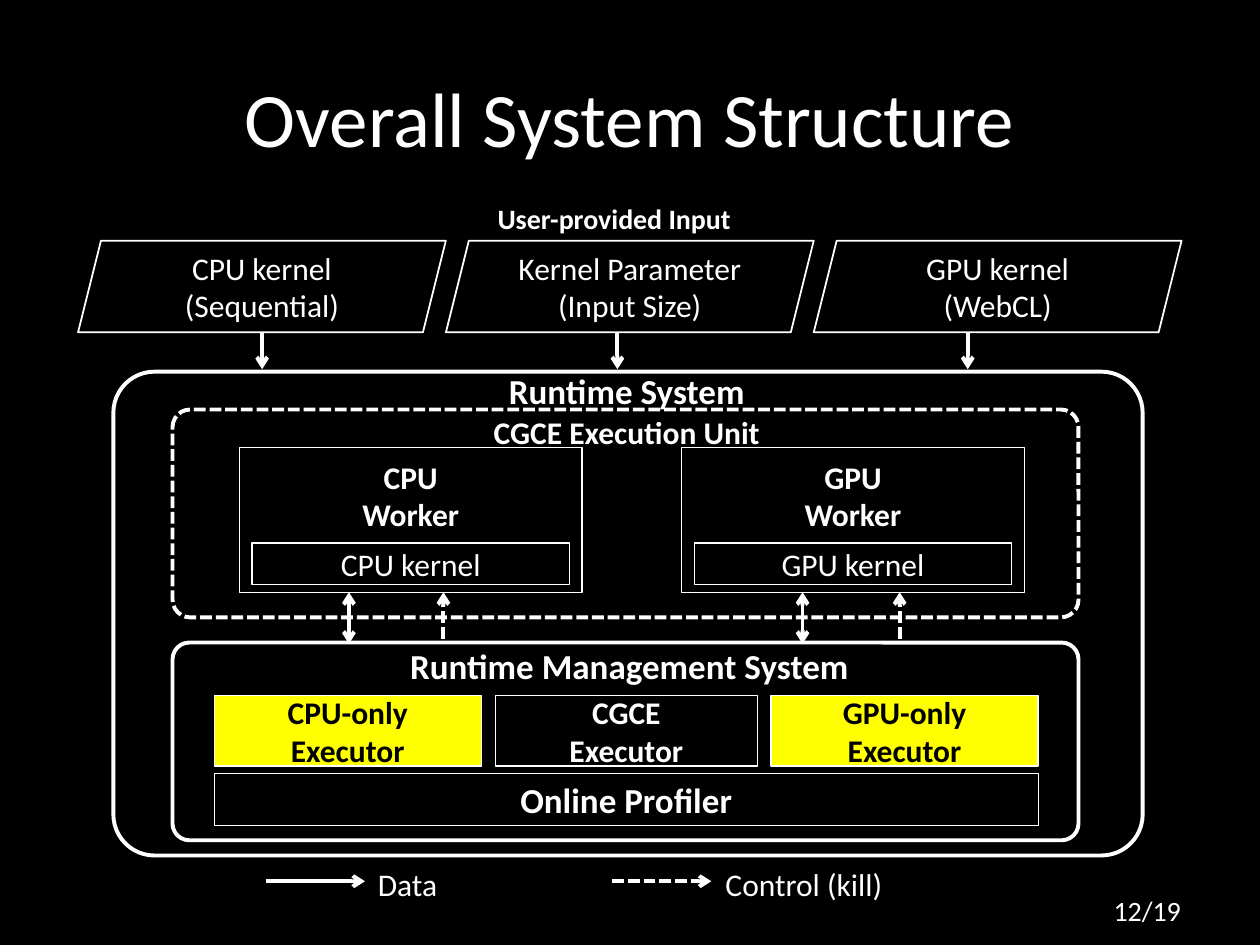
from lxml import etree
from pptx import Presentation
from pptx.dml.color import RGBColor
from pptx.enum.dml import MSO_LINE
from pptx.enum.shapes import MSO_CONNECTOR, MSO_SHAPE
from pptx.enum.text import MSO_ANCHOR, PP_ALIGN
from pptx.oxml.ns import qn
from pptx.util import Pt

RECT, ROUND, SLANT = MSO_SHAPE.RECTANGLE, MSO_SHAPE.ROUNDED_RECTANGLE, MSO_SHAPE.PARALLELOGRAM
STRAIGHT = MSO_CONNECTOR.STRAIGHT
DASH = MSO_LINE.SQUARE_DOT
TOP, MIDDLE = MSO_ANCHOR.TOP, MSO_ANCHOR.MIDDLE
LEFT, CENTER = PP_ALIGN.LEFT, PP_ALIGN.CENTER

COLORS = {"back": "000000", "ink": "FFFFFF", "accent": "FFFF00"}
FONT = "Calibri"
THIN, MEDIUM, THICK = 0.75, 1, 2.25


def rgb(name):
    return RGBColor.from_string(COLORS[name])


class Canvas:
    """Holds the current slide and draws on it; all lengths are points."""

    def __init__(self, prs):
        self.s = prs.slides.add_slide(prs.slide_layouts[6])
        fill = self.s.background.fill
        fill.solid()
        fill.fore_color.rgb = rgb("back")

    def put_lines(self, sp, lines, size, bold, color="ink", align=CENTER, anchor=MIDDLE,
                  side=0, top=0):
        tf = sp.text_frame
        frame = {"word_wrap": True, "vertical_anchor": anchor, "margin_left": Pt(side),
                 "margin_right": Pt(side), "margin_top": Pt(top), "margin_bottom": Pt(top)}
        for name, value in frame.items():
            setattr(tf, name, value)
        for i, line in enumerate(lines):
            p = tf.add_paragraph() if i else tf.paragraphs[0]
            p.alignment = align
            r = p.add_run()
            r.text = line
            for name, value in {"name": FONT, "size": Pt(size), "bold": bold}.items():
                setattr(r.font, name, value)
            r.font.color.rgb = rgb(color)

    def text(self, x, y, w, h, line, size, bold=False, **layout):
        sp = self.s.shapes.add_textbox(Pt(x), Pt(y), Pt(w), Pt(h))
        self.put_lines(sp, [line], size, bold, **{"anchor": TOP, "top": 3.6, **layout})

    def box(self, kind, x, y, w, h, lines=(), size=18, bold=False, fill=None, line=THIN,
            dash=None, color="ink"):
        sp = self.s.shapes.add_shape(kind, Pt(x), Pt(y), Pt(w), Pt(h))
        sp.shadow.inherit = False
        if kind == ROUND:
            sp.adjustments[0] = 0.085
        if fill:
            sp.fill.solid()
            sp.fill.fore_color.rgb = rgb(fill)
        else:
            sp.fill.background()
        if line:
            self.stroke(sp.line, line, dash)
        else:
            sp.line.fill.background()
        self.put_lines(sp, lines, size, bold, color)

    def stroke(self, line, width, dash):
        line.color.rgb = rgb("ink")
        line.width = Pt(width)
        if dash:
            line.dash_style = dash

    def arrow(self, x1, y1, x2, y2, dash=None, both=False):
        c = self.s.shapes.add_connector(STRAIGHT, Pt(x1), Pt(y1), Pt(x2), Pt(y2))
        self.stroke(c.line, THICK, dash)
        props = c._element.spPr
        ln = props.find(qn("a:ln"))
        for end in ("a:headEnd", "a:tailEnd") if both else ("a:tailEnd",):
            etree.SubElement(ln, qn(end)).set("type", "arrow")
        etree.SubElement(props, qn("a:effectLst"))


def draw_inputs(cv):
    cv.text(239, 111.6, 224, 26.6, "User-provided Input", 16, True)
    inputs = [("CPU kernel", "(Sequential)", 149.8),
              ("Kernel Parameter", "(Input Size)", 352.8),
              ("GPU kernel", "(WebCL)", 553)]
    for i, (name, note, arrow_x) in enumerate(inputs):
        cv.box(SLANT, 44.6 + 210.2 * i, 137.5, 210.2, 52.4, [name, note], line=MEDIUM)
        cv.arrow(arrow_x, 190, arrow_x, 211)


def draw_execution_unit(cv):
    cv.box(ROUND, 98.6, 234, 517.7, 118.8, fill="back", line=THICK, dash=DASH)
    cv.text(128.2, 232.6, 460, 33.8, "CGCE Execution Unit", 18, True)
    for unit, x in (("CPU", 136.8), ("GPU", 389.5)):
        cv.box(RECT, x + 7.2, 259.4, 181.4, 47.5, [unit, "Worker"], bold=True,
               fill="back", line=None)
        cv.box(RECT, x + 7.2, 310.3, 181.4, 23.8, [f"{unit} kernel"], fill="back")
        cv.box(RECT, x, 255.8, 195.8, 82.8)


def draw_management(cv):
    cv.box(ROUND, 98.6, 367.2, 517.7, 113, line=THICK)
    cv.text(226.1, 365, 267.1, 31.7, "Runtime Management System", 20, True)
    executors = [("CPU-only", 122.4, 152.6, "accent", "back"),
                 ("CGCE", 283, 149.8, "back", "ink"),
                 ("GPU-only", 440.6, 152.6, "accent", "back")]
    for name, x, w, fill, color in executors:
        cv.box(RECT, x, 397.4, w, 40.3, [name, "Executor"], bold=True, fill=fill, color=color)
    cv.box(RECT, 122.4, 442.1, 470.9, 29.5, ["Online Profiler"], 20, True, fill="back")
    for data_x, control_x in ((199.4, 253.4), (458.6, 514.1)):
        cv.arrow(data_x, 338.4, data_x, 367.9, both=True)
        cv.arrow(control_x, 365, control_x, 338.4, DASH)


def draw_legend(cv):
    for label, x, label_x, dash in (("Data", 152, 208.8, None),
                                    ("Control (kill)", 349.9, 407.5, DASH)):
        cv.arrow(x, 503.6, x + 56.6, 503.6, dash)
        cv.text(label_x, 490.7, 180, 33.8, label, 18, align=LEFT, side=7.2)


def main():
    prs = Presentation()
    prs.slide_width, prs.slide_height = Pt(720), Pt(540)
    cv = Canvas(prs)
    cv.text(36, 21.6, 648, 90, "Overall System Structure", 44, anchor=MIDDLE)
    cv.box(ROUND, 64.8, 212.4, 588.2, 276.5, line=THICK)
    cv.text(92.9, 207.4, 530.6, 36.7, "Runtime System", 20, True)
    draw_inputs(cv)
    draw_execution_unit(cv)
    draw_management(cv)
    draw_legend(cv)
    cv.text(591.1, 506.9, 128.9, 26.6, "12/19", 16)
    prs.save("out.pptx")


if __name__ == "__main__":
    main()
